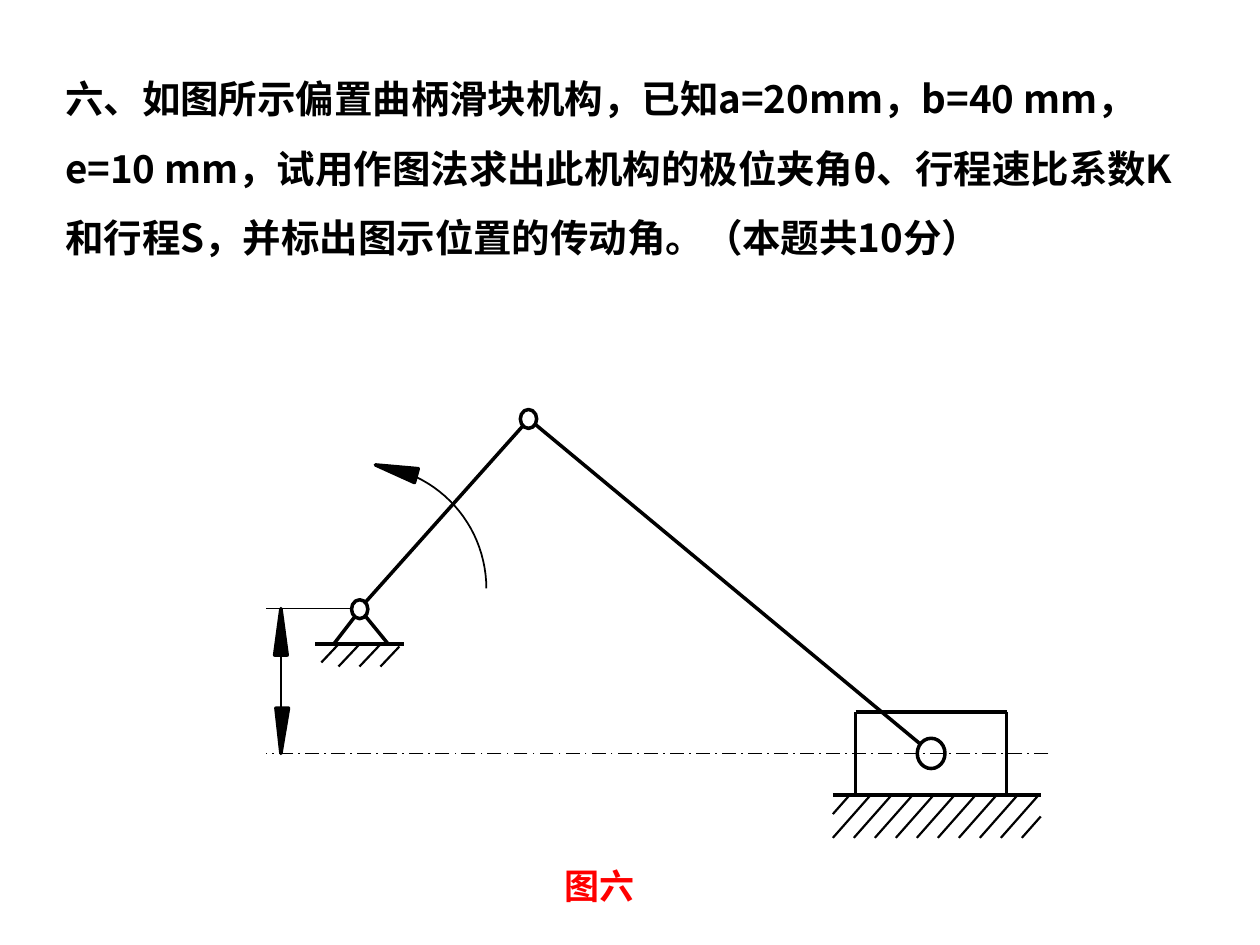
import math
from dataclasses import dataclass

from lxml import etree
from pptx import Presentation
from pptx import util as u
from pptx.dml.color import RGBColor
from pptx.enum import dml, shapes, text
from pptx.oxml import ns

Point = tuple[float, float]


@dataclass(frozen=True)
class Theme:
    font: str = "Noto Sans CJK SC"
    ink: RGBColor = RGBColor(0, 0, 0)
    accent: RGBColor = RGBColor(0xFF, 0, 0)
    question_size: float = 22
    caption_size: float = 20
    thick: float = 2
    medium: float = 1.25
    thin: float = 1


@dataclass(frozen=True)
class Line:
    start: Point
    end: Point
    width: float
    dash: dml.MSO_LINE_DASH_STYLE | None = None


@dataclass(frozen=True)
class Joint:
    left: float
    top: float
    width: float
    height: float


@dataclass(frozen=True)
class Hatch:
    """Slanted ground strokes, cut off at the left and right limits."""
    left: float
    right: float
    top: float
    depth: float
    first_foot: float
    lean: float
    count: int


THEME = Theme()
HATCH_PITCH = 1 / 6
QUESTION = (
    "六、如图所示偏置曲柄滑块机构，已知a=20mm，b=40 mm，e=10 mm，"
    "试用作图法求出此机构的极位夹角θ、行程速比系数K和行程S，"
    "并标出图示位置的传动角。（本题共10分）"
)

JOINTS = [
    Joint(2.79, 4.76, 0.13, 0.15),
    Joint(4.13, 3.25, 0.13, 0.15),
    Joint(7.28, 5.86, 0.22, 0.24),
]
CRANK = Line((4.15, 3.38), (2.9, 4.78), THEME.thick)
COUPLER = Line((4.25, 3.37), (7.31, 5.91), THEME.thick)
SLIDE_AXIS = Line((8.32, 5.98), (2.11, 5.98), THEME.thin,
                  dml.MSO_LINE_DASH_STYLE.LONG_DASH_DOT)
PIVOT_EXTENSION = Line((2.79, 4.83), (2.11, 4.83), THEME.thin)
OFFSET_DIMENSION = Line((2.23, 4.83), (2.23, 5.98), THEME.thin)
SLIDER = [
    Line((6.79, 5.65), (7.99, 5.65), THEME.thick),
    Line((6.79, 5.65), (6.79, 6.31), THEME.thick),
    Line((7.99, 5.65), (7.99, 6.31), THEME.thick),
]
GROUND = [
    Line((6.61, 6.31), (8.26, 6.31), THEME.thick),
    Line((2.82, 4.89), (2.65, 5.11), THEME.thick),
    Line((2.9, 4.89), (3.08, 5.11), THEME.thick),
    Line((2.5, 5.11), (3.21, 5.11), THEME.thick),
]
HATCHES = [
    Hatch(2.55, 3.17, 5.11, 0.18, 2.52, 0.17, 4),
    Hatch(6.61, 8.26, 6.31, 0.34, 6.61 - HATCH_PITCH, 0.3, 11),
]
ARROWHEADS = [
    [(2.98, 3.69), (3.29, 3.83), (3.32, 3.72)],
    [(2.23, 5.98), (2.29, 5.62), (2.19, 5.62)],
    [(2.23, 4.83), (2.18, 5.2), (2.28, 5.2)],
]


def add_text(slide, content: str, left: float, top: float, width: float,
             height: float, *, size: float, color: RGBColor,
             align=text.PP_ALIGN.LEFT, anchor=text.MSO_ANCHOR.TOP,
             spacing: float = 1.0, grow: bool = False) -> None:
    box = slide.shapes.add_textbox(
        u.Inches(left), u.Inches(top), u.Inches(width), u.Inches(height))
    frame = box.text_frame
    frame.word_wrap = True
    frame.vertical_anchor = anchor
    if grow:
        frame.auto_size = text.MSO_AUTO_SIZE.SHAPE_TO_FIT_TEXT
    paragraph = frame.paragraphs[0]
    paragraph.alignment = align
    paragraph.line_spacing = spacing
    run = paragraph.add_run()
    run.text = content
    run.font.name = THEME.font
    run.font.size = u.Pt(size)
    run.font.bold = True
    run.font.color.rgb = color
    east_asian = etree.SubElement(run.font._element, ns.qn("a:ea"))
    east_asian.set("typeface", THEME.font)


def draw_line(slide, line: Line) -> None:
    ends = [u.Inches(value) for value in (*line.start, *line.end)]
    connector = slide.shapes.add_connector(shapes.MSO_CONNECTOR.STRAIGHT, *ends)
    connector.line.color.rgb = THEME.ink
    connector.line.width = u.Pt(line.width)
    if line.dash is not None:
        connector.line.dash_style = line.dash
    etree.SubElement(connector._element.spPr, ns.qn("a:effectLst"))


def style_outline(shape, width: float, filled: bool = False) -> None:
    shape.shadow.inherit = False
    shape.line.color.rgb = THEME.ink
    shape.line.width = u.Pt(width)
    if filled:
        shape.fill.solid()
        shape.fill.fore_color.rgb = THEME.ink
    else:
        shape.fill.background()


def draw_joint(slide, joint: Joint) -> None:
    oval = slide.shapes.add_shape(
        shapes.MSO_SHAPE.OVAL, u.Inches(joint.left), u.Inches(joint.top),
        u.Inches(joint.width), u.Inches(joint.height))
    style_outline(oval, THEME.thick)


def draw_path(slide, points: list[Point], width: float, closed: bool) -> None:
    """Draw a filled outline if closed, otherwise an open curve."""
    corners = [(u.Inches(x), u.Inches(y)) for x, y in points]
    builder = slide.shapes.build_freeform(*corners[0])
    builder.add_line_segments(corners[1:], close=closed)
    style_outline(builder.convert_to_shape(), width, filled=closed)


def draw_hatch(slide, hatch: Hatch) -> None:
    for index in range(hatch.count):
        foot = hatch.first_foot + index * HATCH_PITCH
        low = max(foot, hatch.left)
        high = min(foot + hatch.lean, hatch.right)
        ends = [(x, hatch.top + hatch.depth * (1 - (x - foot) / hatch.lean))
                for x in (low, high)]
        draw_line(slide, Line(ends[0], ends[1], THEME.medium))


def rotation_arc(center: Point = (2.88, 4.67), radius: float = 0.98,
                 sweep: float = 84, steps: int = 26) -> list[Point]:
    angles = [math.radians(sweep * step / steps) for step in range(steps + 1)]
    return [(center[0] + radius * math.cos(angle),
             center[1] - radius * math.sin(angle)) for angle in angles]


def main() -> None:
    presentation = Presentation()
    presentation.slide_width = u.Inches(10)
    presentation.slide_height = u.Inches(7.5)
    slide = presentation.slides.add_slide(presentation.slide_layouts[6])

    add_text(slide, QUESTION, 0.42, 0.85, 9.2, 0.78, size=THEME.question_size,
             color=THEME.ink, anchor=text.MSO_ANCHOR.MIDDLE, spacing=1.5)
    add_text(slide, "图六", 3.67, 6.81, 2.18, 0.44, size=THEME.caption_size,
             color=THEME.accent, align=text.PP_ALIGN.CENTER, grow=True)

    for joint in JOINTS:
        draw_joint(slide, joint)
    for line in [CRANK, COUPLER, SLIDE_AXIS, PIVOT_EXTENSION, *SLIDER]:
        draw_line(slide, line)
    for hatch in HATCHES:
        draw_hatch(slide, hatch)
    for line in [*GROUND, OFFSET_DIMENSION]:
        draw_line(slide, line)
    draw_path(slide, rotation_arc(), THEME.thin, closed=False)
    for arrowhead in ARROWHEADS:
        draw_path(slide, arrowhead, THEME.thick, closed=True)

    presentation.save("out.pptx")


if __name__ == "__main__":
    main()
